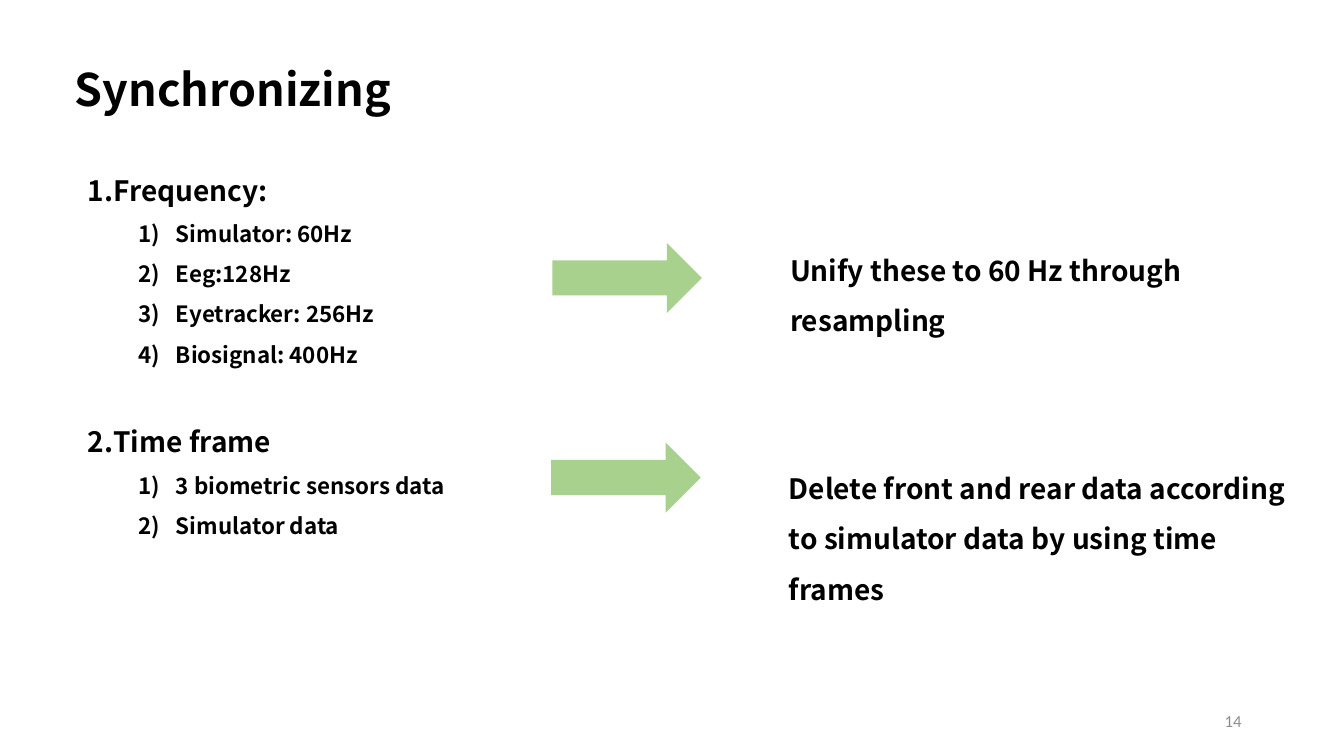
from lxml.etree import SubElement
from pptx import Presentation
from pptx.dml.color import RGBColor
from pptx.enum.shapes import MSO_SHAPE
from pptx.enum.text import MSO_ANCHOR, MSO_AUTO_SIZE, PP_ALIGN
from pptx.oxml.ns import qn
from pptx.util import Cm, Pt

COLORS = {"text": "000000", "arrow": "A9D18E", "page": "8C8C8C"}
FONT = "Noto Sans CJK KR"

STEPS = [
    ("Frequency:", ["Simulator: 60Hz", "Eeg:128Hz",
                    "Eyetracker: 256Hz", "Biosignal: 400Hz"]),
    ("Time frame", ["3 biometric sensors data", "Simulator data"]),
]


def place(part, left, top, width, height):
    part.left, part.top = Cm(left), Cm(top)
    part.width, part.height = Cm(width), Cm(height)


def prepare_frame(part, anchor=MSO_ANCHOR.TOP):
    frame = part.text_frame
    frame.word_wrap = True
    frame.auto_size = MSO_AUTO_SIZE.NONE
    frame.vertical_anchor = anchor
    return frame


def add_words(paragraph, words, size, font=FONT, color="text", bold=True):
    run = paragraph.add_run()
    run.text = words
    run.font.name = font
    run.font.size = Pt(size)
    run.font.bold = bold
    run.font.color.rgb = RGBColor.from_string(COLORS[color])


def number_paragraph(paragraph, scheme, margin, hanging):
    properties = paragraph._p.get_or_add_pPr()
    properties.set("marL", str(Cm(margin)))
    properties.set("indent", str(-Cm(hanging)))
    SubElement(properties, qn("a:buFont"), typeface="+mj-lt")
    SubElement(properties, qn("a:buAutoNum"), type=scheme)


def add_item(paragraph, words, level, gap=0):
    paragraph.level = level
    paragraph.line_spacing = 1.5
    paragraph.space_before = Pt(gap)
    paragraph.space_after = Pt(0)
    if level == 0:
        number_paragraph(paragraph, "arabicPeriod", 0.64, 0.64)
        add_words(paragraph, words, 20)
    else:
        number_paragraph(paragraph, "arabicParenR", 2.22, 0.95)
        add_words(paragraph, words, 16)


def fill_steps(body):
    frame = prepare_frame(body)
    for index, (heading, items) in enumerate(STEPS):
        first = index == 0
        paragraph = frame.paragraphs[0] if first else frame.add_paragraph()
        add_item(paragraph, heading, 0, 0 if first else 28.8)
        for item in items:
            add_item(frame.add_paragraph(), item, 1)


def add_arrow(slide, left, top):
    arrow = slide.shapes.add_shape(
        MSO_SHAPE.RIGHT_ARROW, Cm(left), Cm(top), Cm(3.77), Cm(1.77))
    arrow.shadow.inherit = False
    arrow.fill.solid()
    arrow.fill.fore_color.rgb = RGBColor.from_string(COLORS["arrow"])
    arrow.line.fill.background()


def add_outcome(slide, words, left, top, height):
    outcome = slide.shapes.add_textbox(Cm(left), Cm(top), Cm(13.45), Cm(height))
    paragraph = prepare_frame(outcome).paragraphs[0]
    paragraph.line_spacing = 1.5
    add_words(paragraph, words, 20)


def add_page_number(slide, number):
    page = slide.shapes.add_textbox(Cm(23.92), Cm(17.65), Cm(7.62), Cm(1.01))
    paragraph = prepare_frame(page, MSO_ANCHOR.MIDDLE).paragraphs[0]
    paragraph.alignment = PP_ALIGN.RIGHT
    add_words(paragraph, number, 12, "Calibri", "page", False)


def main():
    deck = Presentation()
    deck.slide_width, deck.slide_height = Cm(33.87), Cm(19.05)
    slide = deck.slides.add_slide(deck.slide_layouts[1])

    # Title
    title = slide.shapes.title
    place(title, 1.63, 1.42, 19.23, 1.63)
    heading = prepare_frame(title).paragraphs[0]
    heading.alignment = PP_ALIGN.LEFT
    add_words(heading, "Synchronizing", 32)

    # Numbered steps
    body = slide.placeholders[1]
    place(body, 1.96, 3.81, 28.32, 15.24)
    fill_steps(body)

    # Arrows and outcomes
    add_arrow(slide, 13.92, 6.12)
    add_arrow(slide, 13.89, 11.15)
    add_outcome(slide, "Unify these to 60 Hz through resampling",
                19.66, 5.84, 1.42)
    add_outcome(slide, "Delete front and rear data according to simulator "
                "data by using time frames", 19.63, 11.33, 2.72)

    # Page number
    add_page_number(slide, "14")

    deck.save("out.pptx")


if __name__ == "__main__":
    main()
